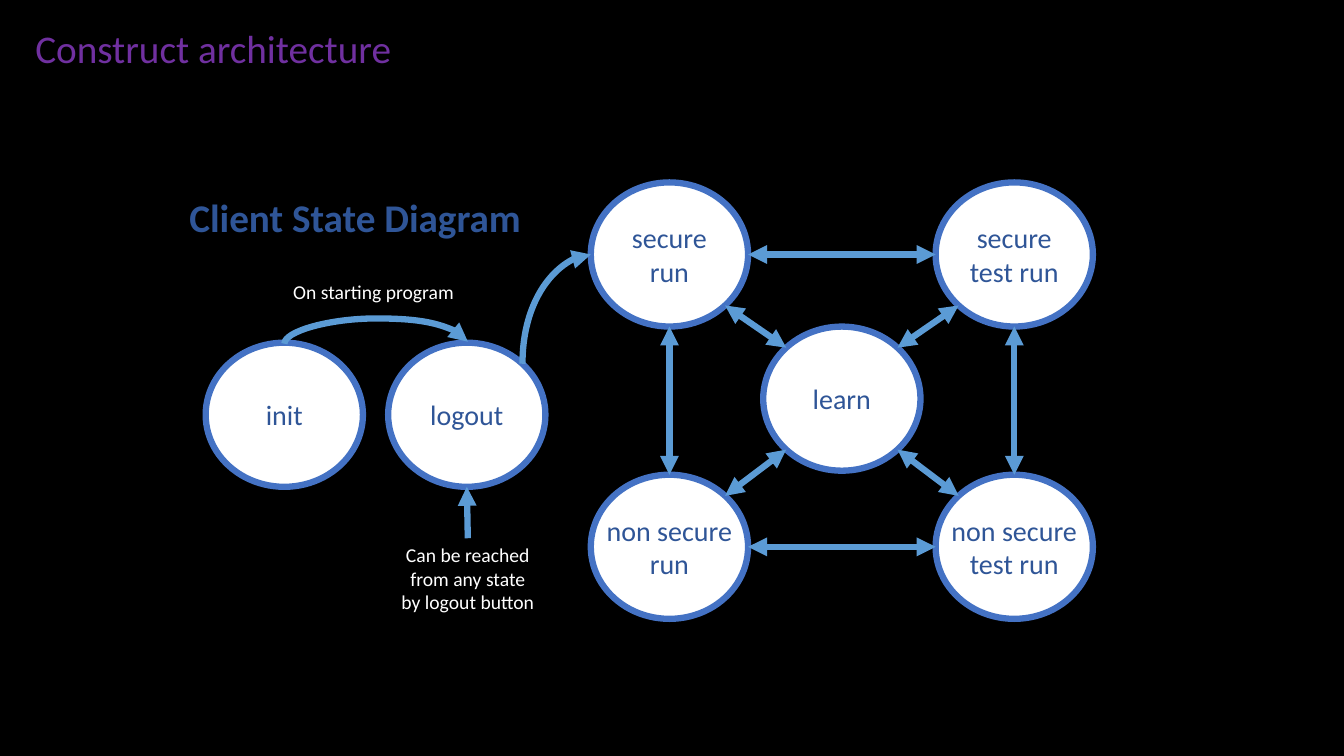
import math
from dataclasses import dataclass

from lxml import etree
from pptx import Presentation
from pptx import util as u
from pptx.dml.color import RGBColor
from pptx.enum import shapes, text
from pptx.oxml.ns import qn

EMU_PER_PX = 9144
TOP, TOP_LEFT, LEFT, BOTTOM_LEFT, BOTTOM, BOTTOM_RIGHT, RIGHT, TOP_RIGHT = range(8)


def px(n):
    return u.Emu(round(n * EMU_PER_PX))


@dataclass(frozen=True)
class Theme:
    font: str = "Calibri"
    background: str = "000000"
    title: str = "7030A0"
    ink: str = "2F5597"
    note: str = "FFFFFF"
    node: str = "FFFFFF"
    ring: str = "4472C4"
    arrow: str = "5B9BD5"
    heading_size: int = 28
    node_size: int = 20
    note_size: int = 14
    stroke: float = 4.5


class StateDiagram:
    def __init__(self, s, theme):
        self.s = s
        self.theme = theme
        s.background.fill.solid()
        s.background.fill.fore_color.rgb = RGBColor.from_string(theme.background)

    def place(self, sp, left, top, width, height):
        sp.left, sp.top, sp.width, sp.height = map(px, (left, top, width, height))

    def set_text(self, sp, lines, size, color, align, wrap=False, bold=False):
        tf = sp.text_frame
        tf.text = lines
        tf.word_wrap = wrap
        tf.auto_size = text.MSO_AUTO_SIZE.NONE
        for p in tf.paragraphs:
            p.alignment = align
            p.font.name = self.theme.font
            p.font.size = u.Pt(size)
            p.font.bold = bold
            p.font.color.rgb = RGBColor.from_string(color)
        return tf

    def title(self, lines, *box):
        sp = self.s.shapes.title
        self.place(sp, *box)
        tf = self.set_text(sp, lines, self.theme.heading_size, self.theme.title,
                           text.PP_ALIGN.LEFT, wrap=True)
        tf.vertical_anchor = text.MSO_ANCHOR.MIDDLE
        tf.paragraphs[0].line_spacing = 0.9

    def heading(self, lines, *box):
        sp = self.s.shapes.add_textbox(*map(px, box))
        tf = self.set_text(sp, lines, self.theme.heading_size, self.theme.ink,
                           text.PP_ALIGN.LEFT, wrap=True, bold=True)
        tf.paragraphs[0].line_spacing = u.Pt(11)

    def note(self, lines, *box):
        sp = self.s.shapes.add_textbox(*map(px, box))
        self.set_text(sp, lines, self.theme.note_size, self.theme.note,
                      text.PP_ALIGN.CENTER)

    def node(self, lines, left, top, width=156, height=143):
        sp = self.s.shapes.add_shape(shapes.MSO_SHAPE.OVAL,
                                     *map(px, (left, top, width, height)))
        sp.shadow.inherit = False
        sp.fill.solid()
        sp.fill.fore_color.rgb = RGBColor.from_string(self.theme.node)
        sp.line.color.rgb = RGBColor.from_string(self.theme.ring)
        sp.line.width = u.Pt(self.theme.stroke)
        tf = self.set_text(sp, lines, self.theme.node_size, self.theme.ink,
                           text.PP_ALIGN.CENTER)
        tf.vertical_anchor = text.MSO_ANCHOR.MIDDLE
        return sp

    def site(self, node, index):
        angle = math.radians(45 * index)
        x = node.left + node.width / 2 * (1 - math.sin(angle))
        y = node.top + node.height / 2 * (1 - math.cos(angle))
        return x / EMU_PER_PX, y / EMU_PER_PX

    def connector(self, kind, start, end, heads):
        c = self.s.shapes.add_connector(kind, *map(px, (*start, *end)))
        c.line.color.rgb = RGBColor.from_string(self.theme.arrow)
        c.line.width = u.Pt(self.theme.stroke)
        ln = c._element.spPr.find(qn("a:ln"))
        for head in heads:
            etree.SubElement(ln, qn(f"a:{head}"), type="triangle")
        etree.SubElement(c._element.spPr, qn("a:effectLst"))
        return c

    def glue(self, c, tag, node, index):
        holder = c._element.find(".//" + qn("p:cNvCxnSpPr"))
        etree.SubElement(holder, qn(f"a:{tag}"), id=str(node.shape_id), idx=str(index))

    def two_way(self, a, a_site, b, b_site):
        c = self.connector(shapes.MSO_CONNECTOR.STRAIGHT, self.site(a, a_site),
                           self.site(b, b_site), ("headEnd", "tailEnd"))
        self.glue(c, "stCxn", a, a_site)
        self.glue(c, "endCxn", b, b_site)

    def arrow_into(self, start, node, index):
        c = self.connector(shapes.MSO_CONNECTOR.STRAIGHT, start,
                           self.site(node, index), ("tailEnd",))
        self.glue(c, "endCxn", node, index)

    def rising_curve(self, start, end, rise=None):
        (x1, y1), (x2, y2) = start, end
        cx, cy = (x1 + x2) / 2, (y1 + y2) / 2
        half_w, half_h = (y1 - y2) / 2, (x2 - x1) / 2
        c = self.connector(shapes.MSO_CONNECTOR.CURVE, (cx + half_w, cy + half_h),
                           (cx - half_w, cy - half_h), ("tailEnd",))
        c._element.spPr.find(qn("a:xfrm")).set("rot", "5400000")
        geom = c._element.spPr.find(qn("a:prstGeom"))
        if rise is None:
            geom.set("prst", "curvedConnector2")
            return
        guides = geom.find(qn("a:avLst"))
        ratio = round(rise / (y1 - y2) * 100000)
        etree.SubElement(guides, qn("a:gd"), name="adj1", fmla=f"val {ratio}")


def main():
    prs = Presentation()
    prs.slide_width, prs.slide_height = u.Inches(13.33), u.Inches(7.5)
    d = StateDiagram(prs.slides.add_slide(prs.slide_layouts[5]), Theme())

    d.title("Construct architecture", 25, 16, 891, 69)
    d.heading("Client State Diagram", 178, 218, 400, 26)

    d.node("init", 204, 340)
    logout = d.node("logout", 385, 340)
    secure = d.node("secure\nrun", 586, 181)
    non_secure = d.node("non secure\nrun", 586, 471)
    learn = d.node("learn", 757, 324)
    secure_test = d.node("secure\ntest run", 928, 181)
    non_secure_test = d.node("non secure\ntest run", 928, 471)

    d.rising_curve((282, 341), (464, 339), rise=25)
    d.rising_curve(d.site(logout, TOP_RIGHT), d.site(secure, LEFT))
    d.arrow_into((464, 534), logout, BOTTOM)

    for link in (
        (secure, BOTTOM, non_secure, TOP),
        (secure_test, BOTTOM, non_secure_test, TOP),
        (secure, RIGHT, secure_test, LEFT),
        (non_secure, RIGHT, non_secure_test, LEFT),
        (secure, BOTTOM_RIGHT, learn, TOP_LEFT),
        (non_secure, TOP_RIGHT, learn, BOTTOM_LEFT),
        (non_secure_test, TOP_LEFT, learn, BOTTOM_RIGHT),
        (secure_test, BOTTOM_LEFT, learn, TOP_RIGHT),
    ):
        d.two_way(*link)

    d.note("On starting program", 280, 273, 181, 34)
    d.note("Can be reached\nfrom any state\nby logout button", 387, 534, 154, 81)
    prs.save("out.pptx")


if __name__ == "__main__":
    main()
